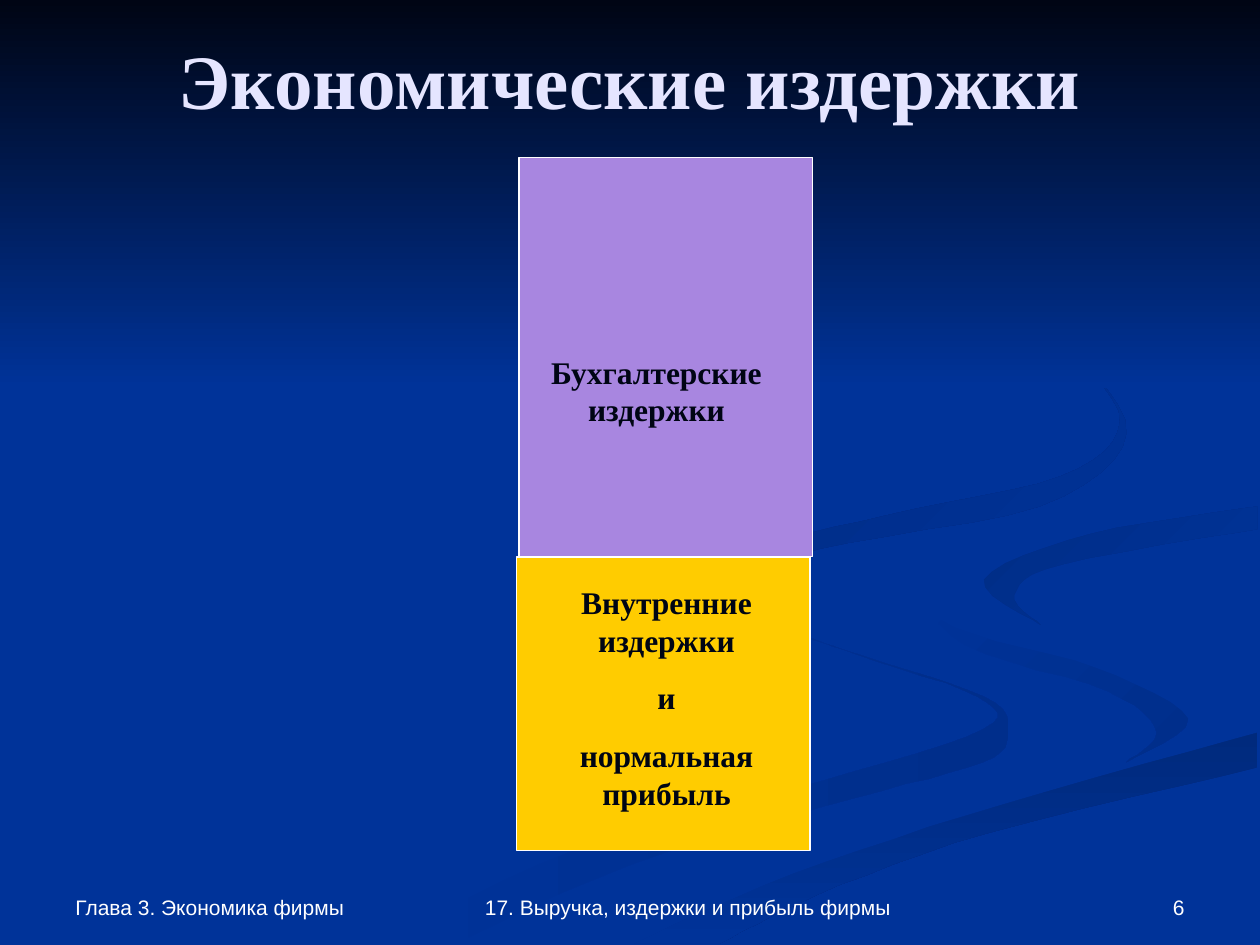
from dataclasses import dataclass

from pptx import Presentation
from pptx.dml.color import RGBColor
from pptx.enum.shapes import MSO_SHAPE
from pptx.enum.text import MSO_ANCHOR, PP_ALIGN
from pptx.util import Inches, Pt

RECTANGLE = MSO_SHAPE.RECTANGLE
LEFT, CENTER, RIGHT = PP_ALIGN.LEFT, PP_ALIGN.CENTER, PP_ALIGN.RIGHT
TOP, MIDDLE, BOTTOM = MSO_ANCHOR.TOP, MSO_ANCHOR.MIDDLE, MSO_ANCHOR.BOTTOM
TITLE_ONLY = 5
CURVE_STEPS = 6


@dataclass(frozen=True)
class Theme:
    background: str = "003399"
    night: str = "000514"
    accounting: str = "A886E0"
    internal: str = "FFCC00"
    white: str = "FFFFFF"
    title: str = "E5E5FF"
    serif: str = "Times New Roman"
    sans: str = "Arial"
    title_size: int = 44
    label_size: int = 18
    footer_size: int = 12
    label_gap: float = 11.2


THEME = Theme()


@dataclass(frozen=True)
class Box:
    left: float
    top: float
    width: float
    height: float

    def lengths(self) -> list:
        return [Inches(v) for v in (self.left, self.top, self.width, self.height)]


@dataclass(frozen=True)
class Block:
    box: Box
    color: str
    label_box: Box
    label: tuple


@dataclass(frozen=True)
class Footer:
    box: Box
    text: str
    alignment: PP_ALIGN


@dataclass(frozen=True)
class Swirl:
    start_color: str
    end_color: str
    angle: int
    edges: tuple  # smooth edges that meet in sharp tips, in hundredths of an inch


SWIRLS = [
    Swirl(THEME.background, "002E8B", 0, (
        ((575, 459), (581, 483), (679, 519), (776, 553), (780, 579), (652, 620),
         (458, 674), (300, 749)),
        ((361, 749), (499, 687), (676, 634), (780, 605), (800, 581), (781, 553),
         (661, 513), (587, 481), (575, 459)))),
    Swirl(THEME.background, "002E8B", 45, (
        ((724, 464), (758, 498), (870, 530), (943, 570), (894, 605)),
        ((894, 605), (918, 581), (880, 549), (766, 512), (724, 464)))),
    Swirl("002A7D", THEME.background, 90, (
        ((503, 749), (630, 693), (797, 638), (998, 581)),
        ((998, 609), (785, 661), (649, 710), (571, 749)))),
    Swirl(THEME.background, THEME.background, 0, (
        ((477, 749), (573, 703), (743, 643), (902, 603), (943, 570), (870, 530),
         (758, 498), (725, 464), (755, 432), (874, 408), (999, 387)),
        ((999, 402), (865, 424), (781, 463), (817, 492), (999, 538)),
        ((999, 581), (797, 638), (630, 693), (503, 749)))),
    Swirl("002D86", THEME.background, 45, (
        ((998, 402), (865, 424), (781, 460), (826, 496)),
        ((826, 496), (805, 472), (843, 448), (998, 420)))),
    Swirl("002B82", THEME.background, 45, (
        ((762, 233), (846, 279), (889, 335), (842, 378), (704, 409), (597, 437),
         (580, 474), (622, 500)),
        ((622, 500), (593, 470), (649, 436), (825, 402), (894, 344), (843, 275),
         (762, 233)))),
]

BLOCKS = [
    Block(Box(4.12, 1.25, 2.33, 3.17), THEME.accounting,
          Box(4.17, 2.75, 2.08, 1), ("Бухгалтерские издержки",)),
    Block(Box(4.1, 4.42, 2.33, 2.33), THEME.internal,
          Box(4.33, 4.58, 1.92, 1.91),
          ("Внутренние издержки", "и", "нормальная прибыль")),
]

FOOTERS = [
    Footer(Box(0.5, 7.08, 3.58, 0.27), "Глава 3. Экономика фирмы", LEFT),
    Footer(Box(7.17, 7.08, 2.33, 0.27), "6", RIGHT),
    Footer(Box(3.42, 7.08, 4.08, 0.27), "17. Выручка, издержки и прибыль фирмы", CENTER),
]


def font_format(name: str, size: int, bold: bool) -> dict:
    return {"name": name, "size": Pt(size), "bold": bold}


def write_text(shape, lines: tuple, font: dict, color: str, alignment, anchor,
               gap: float = 0) -> None:
    frame = shape.text_frame
    frame.word_wrap = True
    frame.vertical_anchor = anchor
    frame.text = "\n".join(lines)
    for index, paragraph in enumerate(frame.paragraphs):
        paragraph.alignment = alignment
        paragraph.space_before = Pt(gap if index else 0)
        for attribute, value in font.items():
            setattr(paragraph.font, attribute, value)
        paragraph.font.color.rgb = RGBColor.from_string(color)


def paint_gradient(shape, colors: tuple, angle: int) -> None:
    shape.shadow.inherit = False
    shape.line.fill.background()
    shape.fill.gradient()
    shape.fill.gradient_angle = (360 - angle) % 360
    for stop, color in zip(shape.fill.gradient_stops, colors):
        stop.color.rgb = RGBColor.from_string(color)


def smooth(edge: tuple) -> list:
    """Run a Catmull-Rom curve through the points of an edge."""
    padded = (edge[0], *edge, edge[-1])
    curve = [edge[0]]
    for before, start, end, after in zip(padded, padded[1:], padded[2:], padded[3:]):
        for step in range(1, CURVE_STEPS + 1):
            t = step / CURVE_STEPS
            curve.append(tuple(
                b + t / 2 * (c - a + t * (2 * a - 5 * b + 4 * c - d
                                          + t * (3 * (b - c) + d - a)))
                for a, b, c, d in zip(before, start, end, after)))
    return curve


def draw_swirl(slide, swirl: Swirl) -> None:
    outline = [point for edge in swirl.edges for point in smooth(edge)]
    builder = slide.shapes.build_freeform(*outline[0], scale=Inches(0.01))
    builder.add_line_segments(outline[1:], close=True)
    paint_gradient(builder.convert_to_shape(), (swirl.start_color, swirl.end_color), swirl.angle)


def draw_block(slide, block: Block) -> None:
    shape = slide.shapes.add_shape(RECTANGLE, *block.box.lengths())
    shape.shadow.inherit = False
    shape.fill.solid()
    shape.fill.fore_color.rgb = RGBColor.from_string(block.color)
    shape.line.color.rgb = RGBColor.from_string(THEME.white)
    shape.line.width = Pt(0.75)
    label = slide.shapes.add_textbox(*block.label_box.lengths())
    write_text(label, block.label, font_format(THEME.serif, THEME.label_size, True),
               THEME.night, CENTER, TOP, THEME.label_gap)


def draw_footer(slide, footer: Footer) -> None:
    shape = slide.shapes.add_textbox(*footer.box.lengths())
    write_text(shape, (footer.text,), font_format(THEME.sans, THEME.footer_size, False),
               THEME.white, footer.alignment, BOTTOM)


def main() -> None:
    presentation = Presentation()
    presentation.slide_width, presentation.slide_height = Inches(10), Inches(7.5)
    slide = presentation.slides.add_slide(presentation.slide_layouts[TITLE_ONLY])

    # Backdrop
    slide.background.fill.solid()
    slide.background.fill.fore_color.rgb = RGBColor.from_string(THEME.background)
    for swirl in SWIRLS:
        draw_swirl(slide, swirl)
    sky = slide.shapes.add_shape(RECTANGLE, *Box(0, 0, 10, 3.08).lengths())
    paint_gradient(sky, (THEME.night, THEME.background), 90)

    # Title, raised above the backdrop
    title = slide.shapes.title
    title.element.getparent().append(title.element)
    title.left, title.top, title.width, title.height = Box(0.5, 0, 9, 1.25).lengths()
    write_text(title, ("Экономические издержки",),
               font_format(THEME.serif, THEME.title_size, True), THEME.title, CENTER, MIDDLE)

    # Cost blocks and footers
    for block in BLOCKS:
        draw_block(slide, block)
    for footer in FOOTERS:
        draw_footer(slide, footer)

    presentation.save("out.pptx")


if __name__ == "__main__":
    main()
